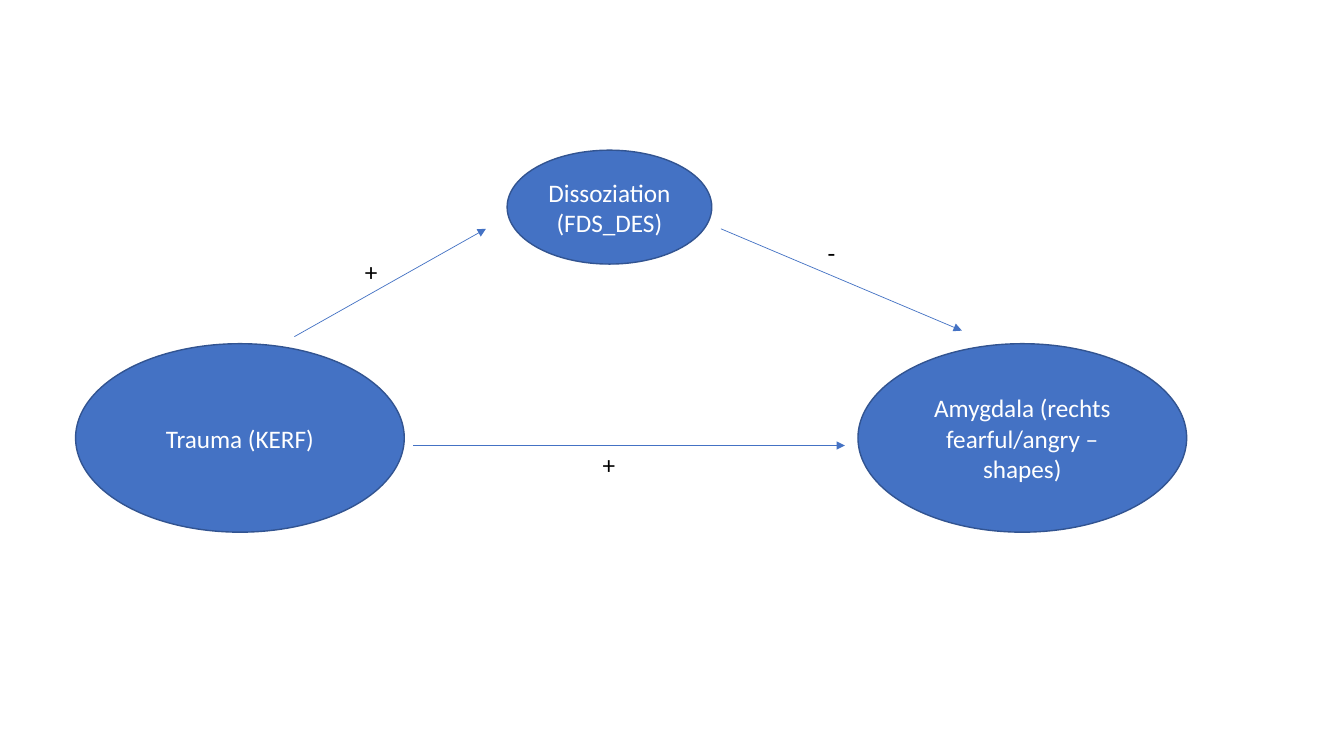
from dataclasses import dataclass

from lxml import etree
from pptx import Presentation
from pptx.dml.color import RGBColor
from pptx.enum.shapes import MSO_CONNECTOR, MSO_SHAPE
from pptx.enum.text import MSO_ANCHOR, PP_ALIGN
from pptx.oxml.ns import qn
from pptx.util import Inches, Pt

ELLIPSE = MSO_SHAPE.OVAL
STRAIGHT = MSO_CONNECTOR.STRAIGHT
TOP, MIDDLE, BOTTOM = MSO_ANCHOR.TOP, MSO_ANCHOR.MIDDLE, MSO_ANCHOR.BOTTOM
LEFT, CENTER = PP_ALIGN.LEFT, PP_ALIGN.CENTER
BLANK_LAYOUT = 6


@dataclass(frozen=True)
class Theme:
    font: str = "Calibri"
    text_size: float = 18
    outline_width: float = 1
    arrow_width: float = 0.5
    accent: RGBColor = RGBColor(0x44, 0x72, 0xC4)
    outline: RGBColor = RGBColor(0x32, 0x54, 0x91)
    light: RGBColor = RGBColor(0xFF, 0xFF, 0xFF)
    dark: RGBColor = RGBColor(0, 0, 0)


def write_text(frame, text, *, theme, color, align=LEFT, anchor=TOP):
    frame.word_wrap = True
    frame.vertical_anchor = anchor
    paragraph = frame.paragraphs[0]
    paragraph.alignment = align
    run = paragraph.add_run()
    run.text = text
    run.font.name = theme.font
    run.font.size = Pt(theme.text_size)
    run.font.color.rgb = color


class PathDiagram:
    def __init__(self, slide, theme):
        self.slide = slide
        self.theme = theme

    def variable(self, text, left, top, width, height):
        oval = self.slide.shapes.add_shape(
            ELLIPSE, Inches(left), Inches(top), Inches(width), Inches(height))
        oval.shadow.inherit = False
        oval.fill.solid()
        oval.fill.fore_color.rgb = self.theme.accent
        oval.line.color.rgb = self.theme.outline
        oval.line.width = Pt(self.theme.outline_width)
        write_text(oval.text_frame, text, theme=self.theme,
                   color=self.theme.light, align=CENTER, anchor=MIDDLE)

    def effect(self, start, end):
        arrow = self.slide.shapes.add_connector(
            STRAIGHT, *(Inches(value) for value in (*start, *end)))
        arrow.line.color.rgb = self.theme.accent
        arrow.line.width = Pt(self.theme.arrow_width)
        etree.SubElement(arrow.line._get_or_add_ln(), qn("a:tailEnd"), type="triangle")
        etree.SubElement(arrow._element.spPr, qn("a:effectLst"))

    def sign(self, text, left, top, height=0.4, anchor=TOP):
        label = self.slide.shapes.add_textbox(
            Inches(left), Inches(top), Inches(0.47), Inches(height))
        write_text(label.text_frame, text, theme=self.theme,
                   color=self.theme.dark, anchor=anchor)


def main():
    presentation = Presentation()
    presentation.slide_width = Inches(13.33)
    presentation.slide_height = Inches(7.5)
    slide = presentation.slides.add_slide(presentation.slide_layouts[BLANK_LAYOUT])
    diagram = PathDiagram(slide, Theme())

    outer_row = {"top": 3.41, "width": 3.26, "height": 1.87}
    diagram.variable("Trauma (KERF)", left=0.75, **outer_row)
    diagram.variable("Dissoziation (FDS_DES)", left=5.03, top=1.49, width=2.03, height=1.13)
    diagram.variable("Amygdala (rechts fearful/angry – shapes)", left=8.51, **outer_row)

    diagram.effect((2.92, 3.34), (4.82, 2.27))
    diagram.effect((4.1, 4.42), (8.38, 4.42))
    diagram.effect((7.15, 2.27), (9.54, 3.28))

    diagram.sign("+", 5.88, 4.41)
    diagram.sign("+", 3.52, 2.49)
    diagram.sign("-", 8.11, 1.99, height=0.71, anchor=BOTTOM)

    presentation.save("out.pptx")


if __name__ == "__main__":
    main()
